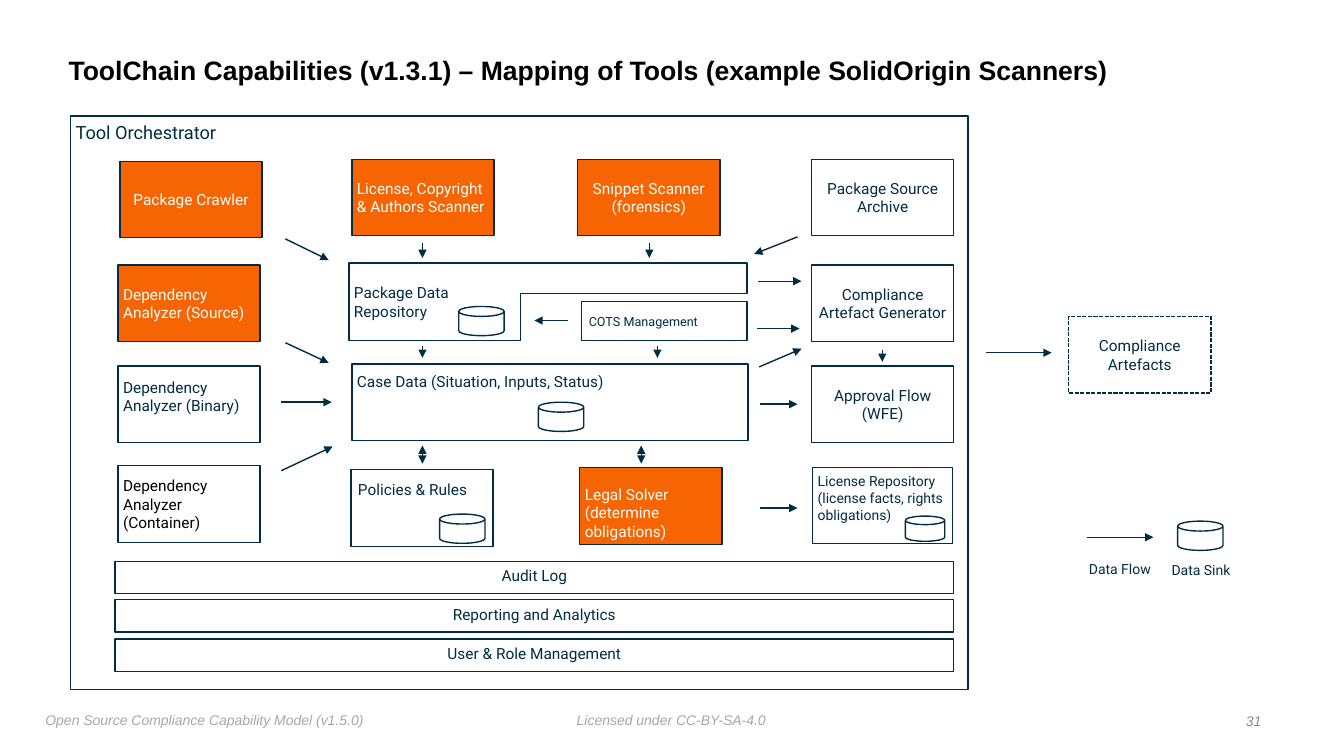
import dataclasses

import lxml.etree
import pptx
import pptx.dml.color
import pptx.enum.dml
import pptx.enum.shapes
import pptx.enum.text
import pptx.oxml.ns
import pptx.util

PX = 9144  # EMU in one px, 100 px to the inch
SHAPE = pptx.enum.shapes.MSO_SHAPE
LEFT, CENTER, RIGHT = (
    pptx.enum.text.PP_ALIGN.LEFT,
    pptx.enum.text.PP_ALIGN.CENTER,
    pptx.enum.text.PP_ALIGN.RIGHT,
)
TOP, MIDDLE = pptx.enum.text.MSO_ANCHOR.TOP, pptx.enum.text.MSO_ANCHOR.MIDDLE


@dataclasses.dataclass(frozen=True)
class Theme:
    ink: str = "002D41"
    paper: str = "FFFFFF"
    accent: str = "F76503"
    black: str = "000000"
    footer: str = "A7A7A7"
    number: str = "888C91"
    head_font: str = "Arial"
    body_font: str = "Roboto"
    title: int = 19
    frame: int = 13
    body: int = 11
    small: int = 10
    tiny: int = 9
    line: int = 1


THEME = Theme()
CARD = (141, 76)


def rgb(code):
    return pptx.dml.color.RGBColor.from_string(code)


def scale(*sizes):
    return [pptx.util.Emu(size * PX) for size in sizes]


def write(frame, text, size=THEME.body, font=THEME.body_font, color=THEME.ink,
          bold=False, italic=False, align=LEFT, anchor=TOP,
          left=5, top=5, right=5, wrap=True, spacing=None):
    """Fill a text frame, one paragraph for each line of text."""
    frame.auto_size = pptx.enum.text.MSO_AUTO_SIZE.NONE
    frame.word_wrap = wrap
    frame.vertical_anchor = anchor
    (frame.margin_left, frame.margin_top,
     frame.margin_right, frame.margin_bottom) = scale(left, top, right, 5)
    frame.text = text
    for para in frame.paragraphs:
        para.alignment = align
        if spacing:
            para.line_spacing = spacing
        for run in para.runs:
            run.font.size = pptx.util.Pt(size)
            run.font.name = font
            run.font.bold = bold
            run.font.italic = italic
            run.font.color.rgb = rgb(color)


def paint(shape, fill):
    shape.shadow.inherit = False
    shape.fill.solid()
    shape.fill.fore_color.rgb = rgb(fill)
    shape.line.color.rgb = rgb(THEME.ink)
    shape.line.width = pptx.util.Pt(THEME.line)


def box(slide, text, x, y, w, h, fill=THEME.paper, dashed=False, **style):
    shape = slide.shapes.add_shape(SHAPE.RECTANGLE, *scale(x, y, w, h))
    paint(shape, fill)
    if dashed:
        shape.line.dash_style = pptx.enum.dml.MSO_LINE.SQUARE_DOT
    write(shape.text_frame, text, **style)


def card(slide, text, x, y, hot=False, **style):
    """Draw a tool box of the common size; hot marks a mapped tool."""
    if hot:
        style = {"fill": THEME.accent, "color": THEME.paper, **style}
    box(slide, text, x, y, *CARD, **{"anchor": MIDDLE, **style})


def label(slide, text, x, y, w, h, **style):
    shape = slide.shapes.add_textbox(*scale(x, y, w, h))
    write(shape.text_frame, text, wrap=False, **style)


def sink(slide, x, y, w=45, h=29):
    shape = slide.shapes.add_shape(SHAPE.CAN, *scale(x, y, w, h))
    paint(shape, THEME.paper)
    shape.adjustments[0] = 0.34


def arrow(slide, x1, y1, x2, y2, both=False):
    link = slide.shapes.add_connector(
        pptx.enum.shapes.MSO_CONNECTOR.STRAIGHT, *scale(x1, y1, x2, y2))
    link.line.color.rgb = rgb(THEME.ink)
    link.line.width = pptx.util.Pt(THEME.line)
    line = link.line._get_or_add_ln()
    for end in ("a:headEnd", "a:tailEnd") if both else ("a:tailEnd",):
        tip = lxml.etree.SubElement(line, pptx.oxml.ns.qn(end))
        tip.set("type", "triangle")
    props = link._element.spPr
    lxml.etree.SubElement(props, pptx.oxml.ns.qn("a:effectLst"))


def store(slide):
    """Draw the L-shaped package data repository."""
    pen = slide.shapes.build_freeform(346, 261, scale=PX)
    pen.add_line_segments(
        [(741, 261), (741, 291), (516, 291), (516, 338), (346, 338)])
    shape = pen.convert_to_shape()
    paint(shape, THEME.paper)
    write(shape.text_frame, "Package Data Repository", anchor=MIDDLE, right=230)


def head(slide):
    title = slide.shapes.title
    title.left, title.top, title.width, title.height = scale(63, 39, 1075, 65)
    write(title.text_frame,
          "ToolChain Capabilities (v1.3.1) – Mapping of Tools "
          "(example SolidOrigin Scanners)",
          size=THEME.title, font=THEME.head_font, color=THEME.black,
          bold=True, anchor=MIDDLE, spacing=0.9)


def foot(slide):
    style = {"size": THEME.small, "font": THEME.head_font, "italic": True}
    label(slide, "Open Source Compliance Capability Model (v1.5.0)",
          40, 701, 332, 27, color=THEME.footer, **style)
    label(slide, "Licensed under CC-BY-SA-4.0",
          567, 701, 199, 25, color=THEME.footer, **style)
    label(slide, "31", 1237, 703, 19, 25, color=THEME.number,
          align=RIGHT, anchor=MIDDLE, **style)


def tools(slide):
    card(slide, "Package Crawler", 119, 160, hot=True, align=CENTER)
    card(slide, "Dependency Analyzer (Source)", 117, 263, hot=True)
    card(slide, "Dependency Analyzer (Binary)", 117, 363, anchor=TOP, top=12)
    card(slide, "Dependency Analyzer (Container)", 117, 462,
         color=THEME.black)
    card(slide, "License, Copyright & Authors Scanner", 349, 158, hot=True)
    card(slide, "Snippet Scanner\n(forensics)", 573, 158, hot=True,
         align=CENTER)
    card(slide, "Policies & Rules", 348, 466, anchor=TOP, top=10, left=7)
    card(slide, "Legal Solver (determine obligations)", 575, 464, hot=True,
         anchor=TOP, top=17)
    for text, y in (("Package Source Archive", 158),
                    ("Compliance Artefact Generator", 263),
                    ("Approval Flow (WFE)", 363)):
        card(slide, text, 805, y, align=CENTER)
    card(slide, "Compliance Artefacts", 1060, 314, dashed=True, align=CENTER)


def data(slide):
    store(slide)
    box(slide, "COTS Management", 577, 299, 164, 39, size=THEME.tiny,
        anchor=MIDDLE, left=7)
    box(slide, "Case Data (Situation, Inputs, Status)", 349, 361, 393, 76,
        top=8)
    box(slide, "License Repository (license facts, rights obligations)",
        806, 464, 139, 75, size=THEME.small)
    bars = ("Audit Log", "Reporting and Analytics", "User & Role Management")
    for row, text in enumerate(bars):
        box(slide, text, 114, 557 + row * 385 // 10, 832, 32, align=CENTER)
    for x, y in ((455, 304), (534, 399), (436, 510), (1168, 517)):
        sink(slide, x, y)
    sink(slide, 898, 512, 39, 25)


def flows(slide):
    for ends in (
        (283, 237, 326, 258), (283, 340, 326, 360),
        (279, 399, 329, 399), (279, 467, 330, 443),
        (419, 241, 419, 256), (644, 241, 644, 256),
        (419, 343, 419, 355), (652, 343, 652, 355),
        (563, 318, 530, 318), (791, 235, 748, 252),
        (752, 279, 795, 279), (751, 326, 793, 326),
        (753, 364, 795, 346), (754, 401, 791, 401),
        (754, 504, 791, 504), (875, 347, 875, 359),
        (978, 350, 1043, 350), (1078, 533, 1144, 533),
    ):
        arrow(slide, *ends)
    for x in (419, 636):
        arrow(slide, x, 460, x, 442, both=True)


def main():
    deck = pptx.Presentation()
    deck.slide_width, deck.slide_height = scale(1333, 750)
    slide = deck.slides.add_slide(deck.slide_layouts[5])
    head(slide)
    foot(slide)
    box(slide, "Tool Orchestrator", 70, 115, 890, 569, size=THEME.frame)
    tools(slide)
    data(slide)
    flows(slide)
    label(slide, "Data Flow", 1075, 551, 72, 27, size=THEME.small)
    label(slide, "Data Sink", 1157, 552, 70, 27, size=THEME.small)
    deck.save("out.pptx")


if __name__ == "__main__":
    main()
